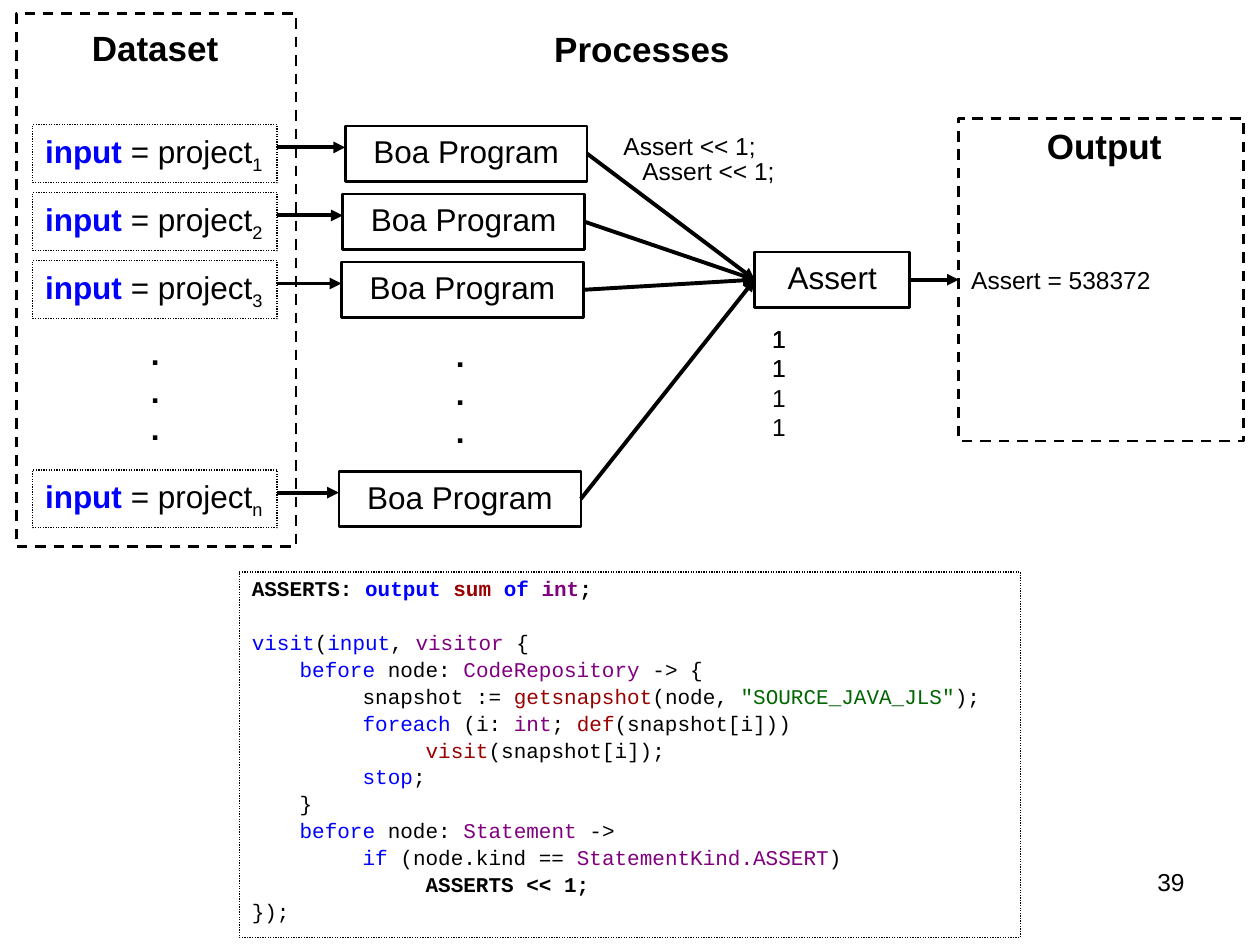
from lxml import etree
from pptx import Presentation
from pptx.dml.color import RGBColor
from pptx.enum.dml import MSO_LINE
from pptx.enum.shapes import MSO_CONNECTOR, MSO_SHAPE
from pptx.enum.text import MSO_ANCHOR, MSO_AUTO_SIZE, PP_ALIGN
from pptx.oxml.ns import qn
from pptx.util import Inches, Pt

RECTANGLE = MSO_SHAPE.RECTANGLE
STRAIGHT = MSO_CONNECTOR.STRAIGHT
DASH, DOTTED = MSO_LINE.DASH, MSO_LINE.ROUND_DOT
MIDDLE, TOP = MSO_ANCHOR.MIDDLE, MSO_ANCHOR.TOP
LEFT, CENTER, RIGHT = PP_ALIGN.LEFT, PP_ALIGN.CENTER, PP_ALIGN.RIGHT
FIT_SHAPE = MSO_AUTO_SIZE.SHAPE_TO_FIT_TEXT

BLACK = RGBColor(0x00, 0x00, 0x00)
WHITE = RGBColor(0xFF, 0xFF, 0xFF)
BLUE = RGBColor(0x00, 0x00, 0xFF)
RED = RGBColor(0x99, 0x00, 0x00)
PURPLE = RGBColor(0x80, 0x00, 0x80)
GREEN = RGBColor(0x00, 0x66, 0x00)

SANS, MONO = "Arial", "Courier New"
ROW_TOP, ROW_PITCH, LAST_ROW = 0.99, 0.54, 3.73
INPUT_LEFT, INPUT_WIDTH, INPUT_HEIGHT = 0.26, 1.94, 0.46
PROGRAM_WIDTH, PROGRAM_HEIGHT = 1.92, 0.44
ARROW_DROP = 0.18
CODE_INDENTS = (0, 0.38, 0.88, 1.38)

PROJECT_ROWS = [
    ("1", ROW_TOP, 2.74),
    ("2", ROW_TOP + ROW_PITCH, 2.72),
    ("3", ROW_TOP + 2 * ROW_PITCH, 2.71),
    ("n", LAST_ROW, 2.69),
]

CODE_LINES = [
    (0, True, [("ASSERTS: ", BLACK), ("output ", BLUE), ("sum ", RED),
               ("of ", BLUE), ("int", PURPLE), (";", BLACK)]),
    (0, False, [("visit", BLUE), ("(", BLACK), ("input", BLUE), (", ", BLACK),
                ("visitor", PURPLE), (" {", BLACK)]),
    (1, False, [("before", BLUE), (" node: ", BLACK),
                ("CodeRepository ", PURPLE), ("-> {", BLACK)]),
    (2, False, [("snapshot := ", BLACK), ("getsnapshot", RED),
                ("(node, ", BLACK), ('"SOURCE_JAVA_JLS"', GREEN),
                (");", BLACK)]),
    (2, False, [("foreach ", BLUE), ("(i: ", BLACK), ("int", PURPLE),
                ("; ", BLACK), ("def", RED), ("(snapshot[i]))", BLACK)]),
    (3, False, [("visit", RED), ("(snapshot[i]);", BLACK)]),
    (2, False, [("stop", BLUE), (";", BLACK)]),
    (1, False, [("}", BLACK)]),
    (1, False, [("before", BLUE), (" node: ", BLACK), ("Statement", PURPLE),
                (" ->", BLACK)]),
    (2, False, [("if", BLUE), (" (node.kind == ", BLACK),
                ("StatementKind.ASSERT", PURPLE), (")", BLACK)]),
    (3, True, [("ASSERTS << 1;", BLACK)]),
    (0, False, [("});", BLACK)]),
]


def style_span(span, size, color=BLACK, bold=False, font=SANS):
    """Set the font of one run."""
    span.font.name = font
    span.font.size = Pt(size)
    span.font.color.rgb = color
    span.font.bold = bold


def add_span(para, text, size, color=BLACK, bold=False, font=SANS):
    """Append a formatted run to a paragraph."""
    span = para.add_run()
    span.text = text
    style_span(span, size, color, bold, font)
    return span


def add_label(page, place, text, size, bold=False, align=LEFT):
    """Add a text box with one format for all its lines."""
    box = page.shapes.add_textbox(*map(Inches, place))
    frame = box.text_frame
    frame.text = text
    frame.word_wrap = align == RIGHT
    if align == LEFT:
        frame.auto_size = FIT_SHAPE
    for para in frame.paragraphs:
        para.alignment = align
        style_span(para.runs[0], size, bold=bold)


def add_box(page, place, width=1.5, dash=None, fill=None, anchor=MIDDLE):
    """Add an outlined rectangle."""
    box = page.shapes.add_shape(RECTANGLE, *map(Inches, place))
    box.shadow.inherit = False
    if fill is None:
        box.fill.background()
    else:
        box.fill.solid()
        box.fill.fore_color.rgb = fill
    box.line.color.rgb = BLACK
    box.line.width = Pt(width)
    if dash is not None:
        box.line.dash_style = dash
    box.text_frame.vertical_anchor = anchor
    box.text_frame.word_wrap = True
    box.text_frame.paragraphs[0].alignment = LEFT
    return box


def add_step(page, place, text):
    """Add a white process box with a centred caption."""
    box = add_box(page, place, fill=WHITE)
    para = box.text_frame.paragraphs[0]
    para.alignment = CENTER
    para.line_spacing = 0.9
    add_span(para, text, 18)
    return box


def add_input(page, top, index):
    """Add a dotted box that binds the input to one project."""
    place = (INPUT_LEFT, top, INPUT_WIDTH, INPUT_HEIGHT)
    box = add_box(page, place, 0.75, DOTTED)
    box.text_frame.word_wrap = False
    para = box.text_frame.paragraphs[0]
    add_span(para, "input ", 18, BLUE, True)
    add_span(para, "= project", 18)
    subscript = add_span(para, index, 18)
    subscript.font._element.set("baseline", "-25000")


def add_arrow(page, start=(0, 0), end=(0, 0), source=None, target=None):
    """Add an arrow between points, or from a box's right to a box's left."""
    arrow = page.shapes.add_connector(STRAIGHT, *map(Inches, start + end))
    if source is not None:
        arrow.begin_connect(source, 3)
    if target is not None:
        arrow.end_connect(target, 1)
    arrow.line.color.rgb = BLACK
    arrow.line.width = Pt(2.25)
    etree.SubElement(arrow.line._get_or_add_ln(), qn("a:tailEnd"), type="triangle")
    etree.SubElement(arrow._element.spPr, qn("a:effectLst"))


def add_code(page):
    """Add the listing of the program."""
    box = add_box(page, (1.9, 4.54, 6.2, 2.9), 0.75, DOTTED, WHITE, TOP)
    frame = box.text_frame
    for number, (level, bold, tokens) in enumerate(CODE_LINES):
        para = frame.add_paragraph() if number else frame.paragraphs[0]
        para.alignment = LEFT
        para.line_spacing = 0.9
        para.space_before = Pt(18 if number == 1 else 2.4)
        para._p.get_or_add_pPr().set("marL", str(Inches(CODE_INDENTS[level])))
        for text, color in tokens:
            add_span(para, text, 12, color, bold, MONO)


def main():
    """Build the slide and save it."""
    deck = Presentation()
    deck.slide_width, deck.slide_height = Inches(10), Inches(7.5)
    page = deck.slides.add_slide(deck.slide_layouts[6])

    add_box(page, (0.13, 0.11, 2.22, 4.23), dash=DASH)
    add_label(page, (0.63, 0.16, 1.25, 0.43), "Dataset", 20, True)
    add_label(page, (4.3, 0.17, 1.59, 0.43), "Processes", 20, True)

    reducer = add_step(page, (5.99, 2, 1.23, PROGRAM_HEIGHT), "Assert")
    output = add_box(page, (7.61, 0.94, 2.26, 2.56), dash=DASH)
    add_span(output.text_frame.paragraphs[0], "Assert = 538372", 14)
    add_label(page, (8.21, 0.94, 1.13, 0.43), "Output", 20, True)
    add_arrow(page, source=reducer, target=output)

    for index, top, left in PROJECT_ROWS:
        add_input(page, top, index)
        place = (left, top + 0.01, PROGRAM_WIDTH, PROGRAM_HEIGHT)
        program = add_step(page, place, "Boa Program")
        height = top + ARROW_DROP
        add_arrow(page, (INPUT_LEFT + INPUT_WIDTH, height), (left, height))
        add_arrow(page, source=program, target=reducer)

    for left, top in ((1.1, 2.6), (3.52, 2.62)):
        add_label(page, (left, top, 0.27, 1), ".\n.\n.", 18, True)
    for left, top in ((4.85, 0.99), (5, 1.19)):
        add_label(page, (left, top, 1.26, 0.34), "Assert << 1;", 14)
    for count, height in ((1, 0.34), (2, 0.57), (4, 1.04)):
        add_label(page, (6.03, 2.52, 0.31, height), "\n".join("1" * count), 14)

    add_code(page)
    add_label(page, (7.17, 6.83, 2.33, 0.52), "39", 14, align=RIGHT)
    deck.save("out.pptx")


if __name__ == "__main__":
    main()
